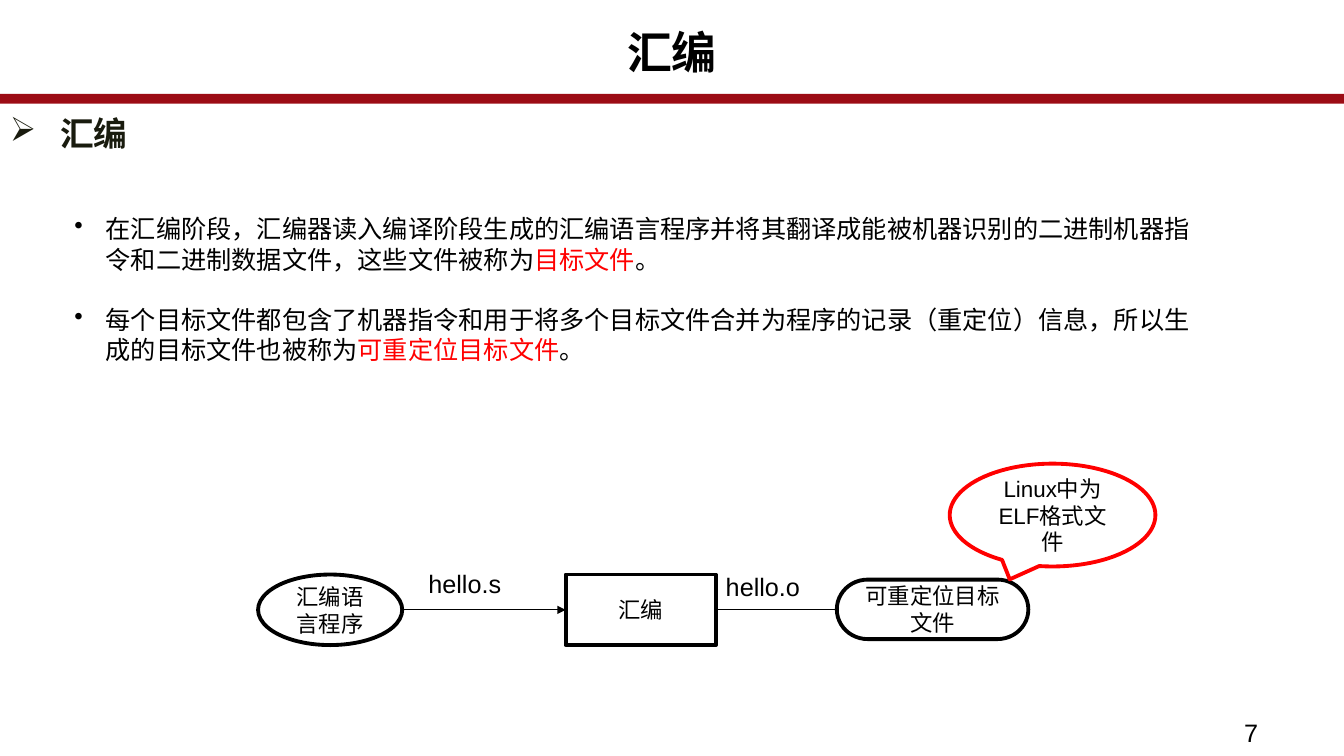
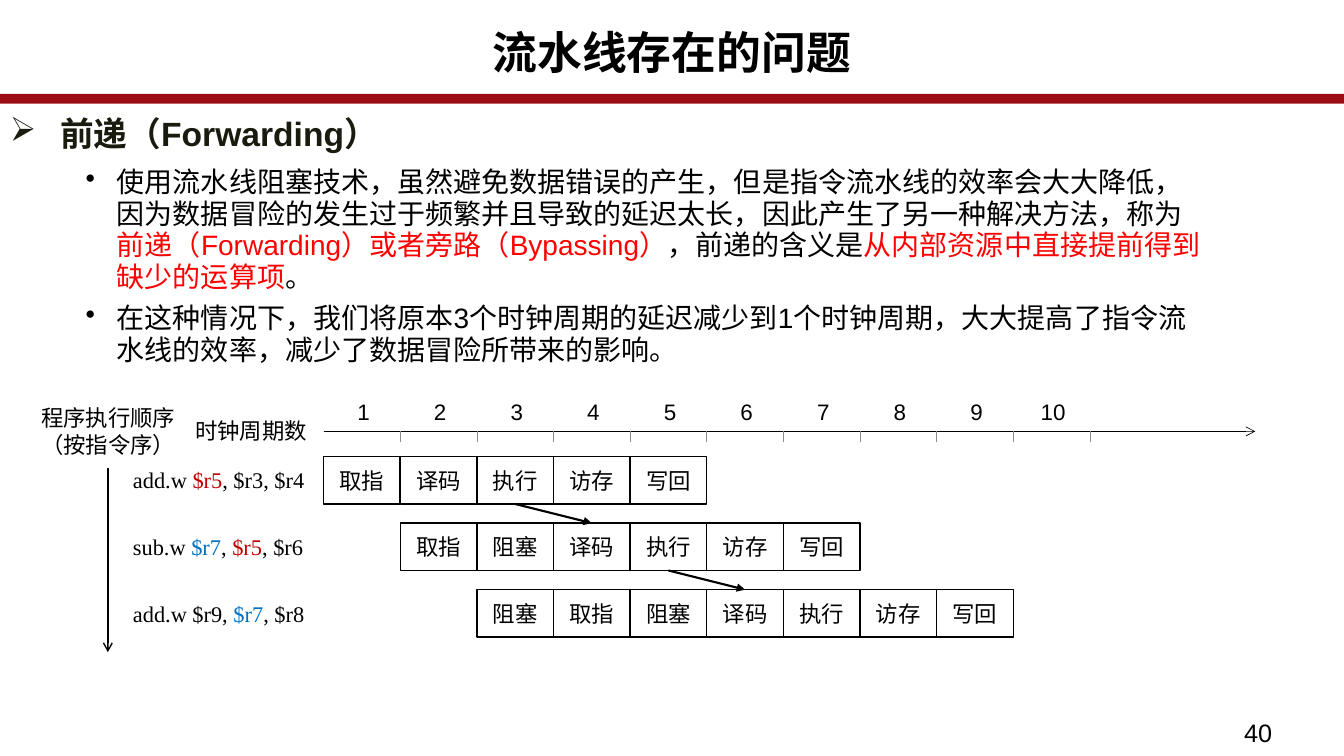
from lxml import etree
from pptx import Presentation
from pptx import util as u
from pptx.dml.color import RGBColor
from pptx.enum import shapes, text
from pptx.oxml import ns

PX = 9144
BLACK = RGBColor(0x00, 0x00, 0x00)
WHITE = RGBColor(0xFF, 0xFF, 0xFF)
RED = RGBColor(0xFF, 0x00, 0x00)
BAND = RGBColor(0x9C, 0x0C, 0x15)
HEADING = RGBColor(0x19, 0x1B, 0x0E)
GREY = RGBColor(0x8C, 0x8D, 0x86)
CRIMSON = RGBColor(0xC0, 0x00, 0x00)
BLUE = RGBColor(0x00, 0x70, 0xC0)

KIND = shapes.MSO_SHAPE
MIDDLE = text.MSO_ANCHOR.MIDDLE
TOP = text.MSO_ANCHOR.TOP
CENTER = {"alignment": text.PP_ALIGN.CENTER}
LABEL = {"size": 16, "anchor": MIDDLE, "layout": CENTER}


def place(slide, area, paragraphs, size=18, kind=None, fill=None, line=None, weight=2.75,
          anchor=TOP, face="Arial", bold=False, bullet=None, gap=0, layout={}):
    area = [length * PX for length in area]
    if kind is None:
        part = slide.shapes.add_textbox(*area)
    else:
        part = slide.shapes.add_shape(kind, *area)
        part.shadow.inherit = False
        part.line.color.rgb = line
        part.line.width = u.Pt(weight)
        if fill is None:
            part.fill.background()
        else:
            part.fill.solid()
            part.fill.fore_color.rgb = fill
    frame = part.text_frame
    frame.word_wrap = True
    frame.vertical_anchor = anchor
    for index, runs in enumerate(paragraphs):
        paragraph = frame.add_paragraph() if index else frame.paragraphs[0]
        if bullet:
            mark, indent, hang = bullet
            properties = paragraph._p.get_or_add_pPr()
            properties.set("marL", str(indent * PX))
            properties.set("indent", str(-hang * PX))
            etree.SubElement(properties, ns.qn("a:buChar"), char=mark)
        if index:
            paragraph.space_before = u.Pt(gap)
        for name, value in layout.items():
            setattr(paragraph, name, value)
        for words, color in runs:
            run = paragraph.add_run()
            run.text = words
            run.font.color.rgb = color
            for name, value in {"size": u.Pt(size), "name": face, "bold": bold}.items():
                setattr(run.font, name, value)


def connect(slide, ends, color=BLACK, weight=0.5, arrow=None):
    link = slide.shapes.add_connector(shapes.MSO_CONNECTOR.STRAIGHT, *[end * PX for end in ends])
    link.line.color.rgb = color
    link.line.width = u.Pt(weight)
    if arrow:
        etree.SubElement(link.line._get_or_add_ln(), ns.qn("a:tailEnd"), type=arrow)
    etree.SubElement(link._element.spPr, ns.qn("a:effectLst"))


deck = Presentation()
deck.slide_width = 1333 * PX
deck.slide_height = 750 * PX

pages = []
for title, heading, number in [("汇编", "汇编", "7"),
                               ("流水线存在的问题", "前递（Forwarding）", "40")]:
    page = deck.slides.add_slide(deck.slide_layouts[6])
    place(page, (-1, 95, 1334, 6), [], kind=KIND.ROUNDED_RECTANGLE, fill=BAND, line=BAND)
    place(page, (0, 26, 1333, 75), [[(title, BLACK)]], 32, bold=True,
          layout={**CENTER, "line_spacing": 0.89})
    place(page, (0, 110, 1285, 50), [[(heading, HEADING)]], 24, bold=True,
          bullet=("➢", 50, 50), layout={"line_spacing": 0.94})
    place(page, (1224, 707, 109, 44), [[(number, BLACK)]])
    pages.append(page)
assembly, pipeline = pages

place(assembly, (64, 207, 1148, 253), [
    [("在汇编阶段，汇编器读入编译阶段生成的汇编语言程序并将其翻译成能被机器识别的二进制机器指令和二进制数据文件，这些文件被称为", BLACK),
     ("目标文件", RED), ("。", BLACK)],
    [("每个目标文件都包含了机器指令和用于将多个目标文件合并为程序的记录（重定位）信息，所以生成的目标文件也被称为", BLACK),
     ("可重定位目标文件", RED), ("。", BLACK)],
], bullet=("•", 31, 31), gap=21.5)

for start, end in [(400, 561), (710, 862)]:
    connect(assembly, (start, 605, end, 605), arrow="triangle")
for area, file_name in [((415, 559, 113, 40), "hello.s"), ((710, 562, 126, 40), "hello.o")]:
    place(assembly, area, [[(file_name, BLACK)]])
for area, kind, outline, step in [
    ((256, 570, 143, 70), KIND.FLOWCHART_CONNECTOR, BLACK, "汇编语言程序"),
    ((561, 570, 149, 70), KIND.FLOWCHART_PROCESS, BLACK, "汇编"),
    ((830, 575, 190, 59), KIND.FLOWCHART_TERMINATOR, BLACK, "可重定位目标文件"),
    ((942, 460, 204, 102), KIND.OVAL_CALLOUT, RED, "Linux中为ELF格式文件"),
]:
    place(assembly, area, [[(step, BLACK)]], kind=kind, fill=WHITE, line=outline, **LABEL)

place(pipeline, (17, 161, 1185, 251), [
    [("使用流水线阻塞技术，虽然避免数据错误的产生，但是指令流水线的效率会大大降低，因为数据冒险的发生过于频繁并且导致的延迟太长，因此产生了另一种解决方法，称为", BLACK),
     ("前递（Forwarding）或者旁路（Bypassing）", RED), ("，前递的含义是", BLACK),
     ("从内部资源中直接提前得到缺少的运算项", RED), ("。", BLACK)],
    [("在这种情况下，我们将原本3个时钟周期的延迟减少到1个时钟周期，大大提高了指令流水线的效率，减少了数据冒险所带来的影响。", BLACK)],
], 20, bullet=("•", 89, 31), gap=7, layout={"line_spacing": 0.94})

axis_left, axis_y, cycle = 321, 428, 76
row_top, row_step, row_height = 453, 66, 47

connect(pipeline, (axis_left, axis_y, 1245, axis_y), arrow="arrow")
connect(pipeline, (107, 464, 107, 647), weight=1, arrow="arrow")
for area, caption in [((134, 404, 230, 47), "时钟周期数"),
                      ((29, 404, 157, 47), "程序执行顺序（按指令序）")]:
    place(pipeline, area, [[(caption, BLACK)]], **LABEL)

for count in range(10):
    tick = axis_left + cycle * (count + 1)
    connect(pipeline, (tick, axis_y + 11, tick, axis_y), GREY)
    place(pipeline, (316 + cycle * count, 385, 89, 47), [[(str(count + 1), BLACK)]], **LABEL)

instructions = [
    ([("add.w ", BLACK), ("$r5", CRIMSON), (", $r3, $r4", BLACK)],
     ["取指", "译码", "执行", "访存", "写回"]),
    ([("sub.w ", BLACK), ("$r7", BLUE), (", ", BLACK), ("$r5", CRIMSON), (", $r6", BLACK)],
     ["取指", "阻塞", "译码", "执行", "访存", "写回"]),
    ([("add.w $r9, ", BLACK), ("$r7", BLUE), (", $r8", BLACK)],
     ["阻塞", "取指", "阻塞", "译码", "执行", "访存", "写回"]),
]
for row, (code, stages) in enumerate(instructions):
    top = row_top + row_step * row
    place(pipeline, (122, top + 5, 192, 37), [code], 16, face="Times New Roman")
    for column, stage in enumerate(stages, row):
        place(pipeline, (axis_left + cycle * column, top, cycle, row_height), [[(stage, BLACK)]],
              kind=KIND.RECTANGLE, line=BLACK, weight=1, **LABEL)

for row in range(2):
    source_x = axis_left + cycle * (2 + 2 * row) + cycle // 2
    source_y = row_top + row_step * row + row_height
    connect(pipeline, (source_x, source_y, source_x + cycle, row_top + row_step * (row + 1)),
            weight=1.5, arrow="triangle")

deck.save("out.pptx")
